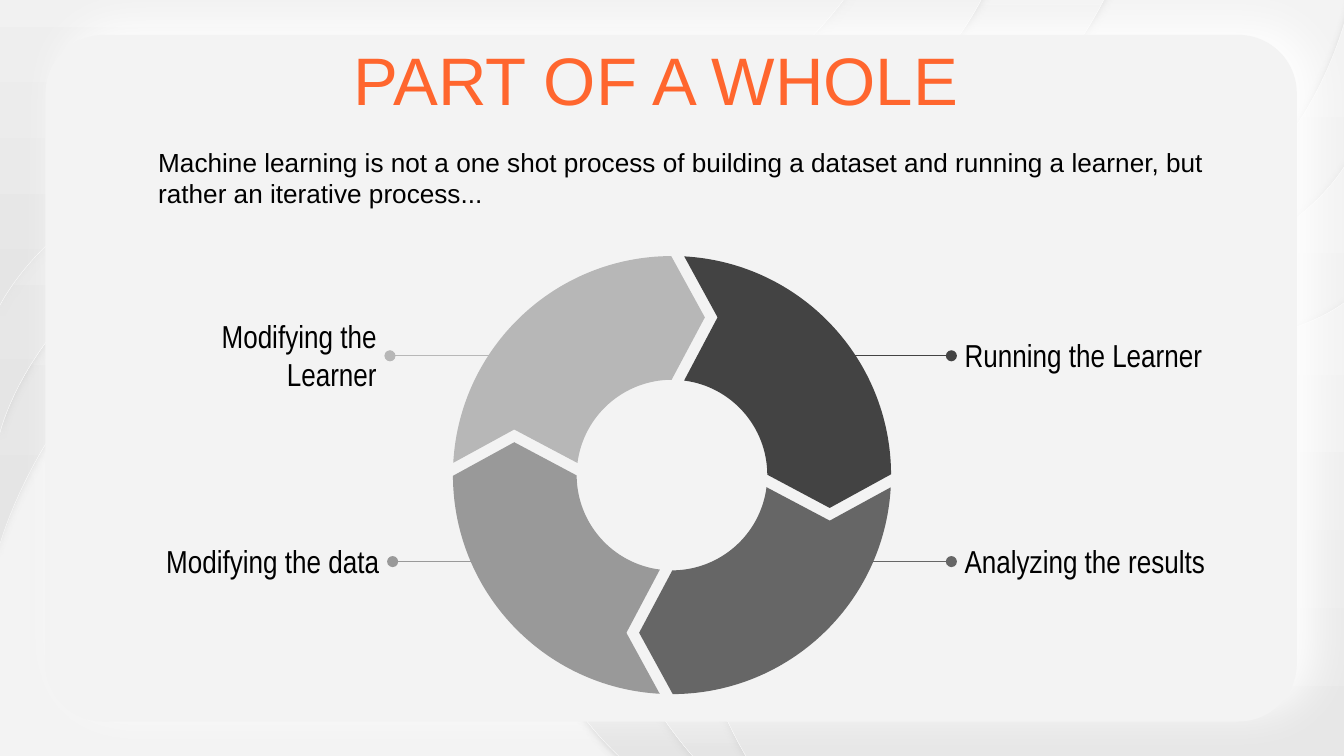
from math import cos, radians, sin, tan

from lxml import etree
from pptx import Presentation
from pptx.dml.color import RGBColor
from pptx.enum.shapes import MSO_CONNECTOR, MSO_SHAPE
from pptx.enum.text import MSO_ANCHOR, PP_ALIGN
from pptx.oxml.ns import qn
from pptx.util import Cm, Pt

LEFT, CENTER, RIGHT = PP_ALIGN.LEFT, PP_ALIGN.CENTER, PP_ALIGN.RIGHT
TOP, MIDDLE = MSO_ANCHOR.TOP, MSO_ANCHOR.MIDDLE
ROUND_RECT, STRAIGHT = MSO_SHAPE.ROUNDED_RECTANGLE, MSO_CONNECTOR.STRAIGHT

PAPER = RGBColor(0xF3, 0xF3, 0xF3)
SHADE = RGBColor(0xE5, 0xE5, 0xE5)
WHITE = RGBColor(0xFF, 0xFF, 0xFF)
BLACK = RGBColor(0x00, 0x00, 0x00)
ORANGE = RGBColor(0xFF, 0x66, 0x2E)
GREY_1 = RGBColor(0x43, 0x43, 0x43)
GREY_2 = RGBColor(0x66, 0x66, 0x66)
GREY_3 = RGBColor(0x99, 0x99, 0x99)
GREY_4 = RGBColor(0xB7, 0xB7, 0xB7)
GREY_5 = RGBColor(0xD9, 0xD9, 0xD9)

TITLE = {"size": Pt(36), "name": "Arial"}
BODY = {"size": Pt(14), "name": "Arial"}
LABEL = {"size": Pt(17), "name": "Arial Narrow"}

W, H = 25.4, 14.29

# Wave edges in cm: start, then two handles and an end for each inner curve
LOW_WAVES = [
    ([(25.53, -0.08), (24.99, 3.4), (21.49, 4.85), (17.96, 6.3), (15.44, 5.03),
      (12.95, 5.77), (10.46, 6.5), (8.99, 9.75), (10.46, 12.65), (11.96, 15.54),
      (14.91, 15.9)], (GREY_3, 50, 4.5, 1.5, 42)),
    ([(25.53, 2.92), (24.74, 4.95), (20.47, 5.77), (16.23, 6.6), (12.6, 5.89),
      (11.66, 9.42), (10.69, 13.18), (14.88, 15.9)], (GREY_4, 46, 4.5, 1.5, 42)),
    ([(25.53, 5.61), (24.66, 6.65), (20.57, 6.81), (16.46, 6.96), (13.67, 7.11),
      (13.21, 10.29), (12.75, 13.46), (15.32, 15.9)], (GREY_4, 46, 4.5, 1.5, 42)),
]
HIGH_WAVES = [
    ([(0, 10.29), (1.02, 6.5), (4.8, 4.95), (9.35, 3.07), (11.13, 5.28),
      (15.8, 4.06), (20.5, 2.84), (21.49, -1.6)], (GREY_4, 50, 4.5, 6, 118)),
    ([(0, 8.18), (0.66, 5.36), (4.19, 4.06), (7.47, 2.87), (9.96, 4.37),
      (14.25, 3.28), (18.54, 2.16), (19.13, -1.6)], (GREY_4, 50, 4.5, 1.5, 118)),
    ([(0, 5.77), (0.99, 3.73), (3.94, 2.95), (6.83, 2.18), (8.48, 3.51),
      (12.14, 2.54), (15.77, 1.6), (16.84, -1.6)], (GREY_5, 50, 4.5, 1.5, 118)),
]

# Clockwise from the top right: text, colour, label box, line end
STEPS = [
    ("Running the Learner", GREY_1, (17.98, 6.12, 5.26, 1.19), 15.9),
    ("Analyzing the results", GREY_2, (17.98, 10.01, 5.26, 1.19), 15.98),
    ("Modifying the data", GREY_3, (2.44, 10.01, 4.98, 1.19), 9.47),
    ("Modifying the Learner", GREY_4, (2.39, 6.12, 4.98, 1.19), 9.4),
]


def add_shadow(sp, color, alpha, blur, dist, angle):
    effects = etree.SubElement(sp._element.spPr, qn("a:effectLst"))
    shadow = etree.SubElement(effects, qn("a:outerShdw"), blurRad=str(Pt(blur)),
                              dist=str(Pt(dist)), dir=str(angle * 60000),
                              algn="bl", rotWithShape="0")
    clr = etree.SubElement(shadow, qn("a:srgbClr"), val=str(color))
    etree.SubElement(clr, qn("a:alpha"), val=str(alpha * 1000))


def add_outline(s, x, y, segments, close=True):
    """Freeform from a start, then lines (one point) and curves (three points)."""
    pts = [(Cm(x + px), Cm(y + py)) for segment in segments for px, py in segment]
    fb = s.shapes.build_freeform(*pts[0])
    fb.add_line_segments(pts[1:], close=close)
    sp = fb.convert_to_shape()
    sp.line.fill.background()
    lines = sp._element.iter(qn("a:lnTo"))
    lines = iter(list(lines))
    for segment in segments[1:]:
        parts = [next(lines) for _ in segment]
        if len(parts) == 3:
            bezier = etree.Element(qn("a:cubicBezTo"))
            parts[0].addprevious(bezier)
            for part in parts:
                bezier.append(part[0])
                part.getparent().remove(part)
    return sp


def add_text(s, box, text, font, color=BLACK, align=LEFT, anchor=TOP):
    tf = s.shapes.add_textbox(*map(Cm, box)).text_frame
    frame = {"word_wrap": True, "vertical_anchor": anchor}
    for side in ("left", "right", "top", "bottom"):
        frame[f"margin_{side}"] = Cm(0.25)
    for key, value in frame.items():
        setattr(tf, key, value)
    p = tf.paragraphs[0]
    p.alignment = align
    r = p.add_run()
    r.text = text
    for key, value in font.items():
        setattr(r.font, key, value)
    r.font.color.rgb = color


def wave_edge(nodes):
    """Curves whose outermost handles lie on the end nodes."""
    nodes = [nodes[0], *nodes, nodes[-1]]
    return [nodes[:1]] + [nodes[i:i + 3] for i in range(1, len(nodes), 3)]


def add_waves(s, box, waves):
    """Stacked shaded waves, then their thin white edges."""
    x, y = box[:2]
    for nodes, shadow in waves:
        corner = (nodes[0][0], nodes[-1][1])
        sp = add_outline(s, x, y, wave_edge(nodes) + [[corner]])
        sp.fill.gradient()
        sp.fill.gradient_angle = 270
        for stop, color, pos in zip(sp.fill.gradient_stops, (PAPER, SHADE), (0, 1)):
            stop.color.rgb = color
            stop.position = pos
        add_shadow(sp, *shadow)
    for nodes, _ in reversed(waves):
        sp = add_outline(s, x, y, wave_edge(nodes), close=False)
        sp.fill.background()
        sp.line.color.rgb = WHITE
        sp.line.width = Pt(0.15)
        sp.shadow.inherit = False


def add_panel(s, box):
    sp = s.shapes.add_shape(ROUND_RECT, *map(Cm, box))
    sp.adjustments[0] = 0.085
    sp.fill.solid()
    sp.fill.fore_color.rgb = PAPER
    sp.line.fill.background()
    add_shadow(sp, WHITE, 100, 24.8, 11.2, 332)


def arc(radius, start, end):
    """Start point and the one curve that follows the arc, angles in degrees."""
    a, b = radians(start), radians(end)
    k = 4 / 3 * tan((b - a) / 4)
    curve = [(cos(a) - k * sin(a), sin(a) + k * cos(a)),
             (cos(b) + k * sin(b), sin(b) - k * cos(b)), (cos(b), sin(b))]
    return [[(radius * px, radius * py) for px, py in segment]
            for segment in ([(cos(a), sin(a))], curve)]


def add_ring_part(s, box, turns, color):
    """One arrow of the ring, turned clockwise by quarter turns."""
    x, y, w, h = box
    segments = [[(w * 0.104, -w * 0.36)], *arc(w * 0.2175, -82.7, -0.2),
                [(w * 0.36, w * 0.075)], *arc(w / 2, -0.2, -86.8)]
    for _ in range(turns):
        segments = [[(-py, px) for px, py in segment] for segment in segments]
    sp = add_outline(s, x + w / 2, y + h / 2, segments)
    sp.fill.solid()
    sp.fill.fore_color.rgb = color
    sp.shadow.inherit = False


def add_label(s, box, text, color, line_end):
    """Label with a dotted leader from its inner edge to the ring."""
    x, y, w, h = box
    on_right = line_end < x
    add_text(s, box, text, LABEL, align=LEFT if on_right else RIGHT, anchor=MIDDLE)
    start, mid = (x if on_right else x + w), y + h / 2 + 0.01
    line = s.shapes.add_connector(STRAIGHT, Cm(start), Cm(mid), Cm(line_end), Cm(mid))
    line.line.color.rgb = color
    line.line.width = Pt(0.75)
    etree.SubElement(line.line._get_or_add_ln(), qn("a:headEnd"), type="oval")
    etree.SubElement(line._element.spPr, qn("a:effectLst"))


def add_cycle(s, box):
    for turns, (text, color, label_box, line_end) in enumerate(STEPS):
        add_ring_part(s, box, turns, color)
        add_label(s, label_box, text, color, line_end)


def main():
    prs = Presentation()
    prs.slide_width, prs.slide_height = Cm(W), Cm(H)
    s = prs.slides.add_slide(prs.slide_layouts[6])
    s.background.fill.solid()
    s.background.fill.fore_color.rgb = PAPER

    # Backdrop
    for waves in (LOW_WAVES, HIGH_WAVES):
        add_waves(s, (0, 0, W, H), waves)
    add_panel(s, (0.86, 0.66, 23.65, 12.98))

    # Heading
    add_text(s, (1.73, 0.48, 21.34, 1.75), "PART OF A WHOLE", TITLE, ORANGE, CENTER)
    add_text(s, (2.74, 2.51, 20.7, 1.88),
             "Machine learning is not a one shot process of building a dataset and "
             "running a learner, but rather an iterative process...", BODY)

    # Cycle with labels
    add_cycle(s, (8.56, 4.84, 8.28, 8.28))
    prs.save("out.pptx")


if __name__ == "__main__":
    main()
